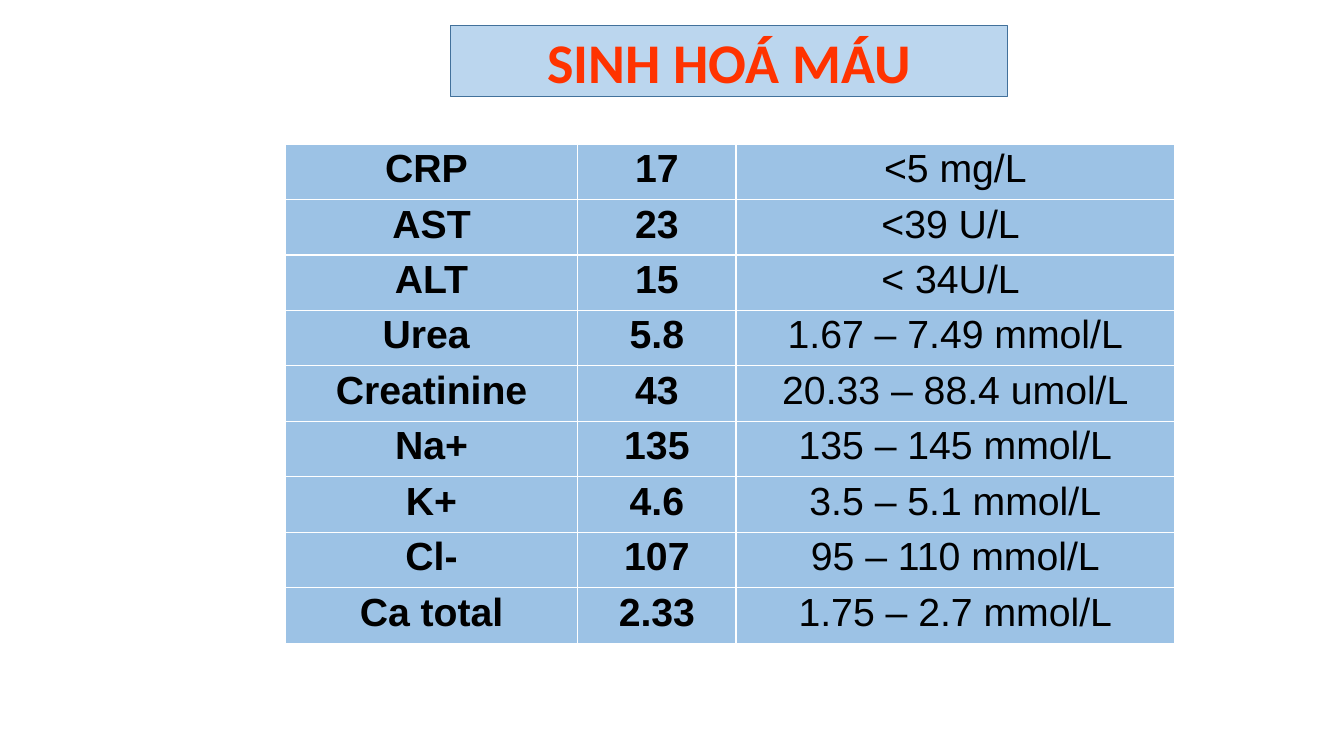
"""Build a slide with a table of blood chemistry results and reference ranges."""
from pptx import Presentation
from pptx.dml.color import RGBColor as RGB
from pptx.enum.shapes import MSO_SHAPE as SHAPE
from pptx.enum.text import MSO_ANCHOR as ANCHOR, PP_ALIGN as ALIGN
from pptx.util import Inches, Pt

COLORS = {"title_fill": "BBD6EE", "title_line": "42719B", "title": "FF3300",
          "cell": "9CC2E5", "text": "000000"}
RESULTS = [
    ("CRP ", "17", "<5 mg/L"),
    ("AST", "23", "<39 U/L "),
    ("ALT", "15", "< 34U/L "),
    ("Urea ", "5.8", "1.67 – 7.49 mmol/L"),
    ("Creatinine", "43", "20.33 – 88.4 umol/L"),
    ("Na+", "135", "135 – 145 mmol/L"),
    ("K+", "4.6", "3.5 – 5.1 mmol/L"),
    ("Cl-", "107", "95 – 110 mmol/L"),
    ("Ca total", "2.33", "1.75 – 2.7 mmol/L"),
]
COL_WIDTHS = [2.9, 1.57, 4.35]
ROW_HEIGHT = 0.55
CELL_FORMAT = {"margin_left": Inches(0.16), "margin_right": Inches(0.16),
               "margin_top": 0, "margin_bottom": 0}


def write(p, text, color, **font):
    p.alignment = ALIGN.CENTER
    r = p.add_run()
    r.text = text
    r.font.color.rgb = RGB.from_string(COLORS[color])
    for name, value in font.items():
        setattr(r.font, name, value)


prs = Presentation()
prs.slide_width, prs.slide_height = Inches(13.33), Inches(7.5)
s = prs.slides.add_slide(prs.slide_layouts[6])

table = s.shapes.add_table(len(RESULTS), len(COL_WIDTHS), Inches(2.83), Inches(1.43),
                           Inches(sum(COL_WIDTHS)), Inches(ROW_HEIGHT * len(RESULTS))).table
table.horz_banding = False
for col, width in zip(table.columns, COL_WIDTHS):
    col.width = Inches(width)
for row, result in zip(table.rows, RESULTS):
    row.height = Inches(ROW_HEIGHT)
    for i, (cell, text) in enumerate(zip(row.cells, result)):
        for name, value in CELL_FORMAT.items():
            setattr(cell, name, value)
        cell.fill.solid()
        cell.fill.fore_color.rgb = RGB.from_string(COLORS["cell"])
        p = cell.text_frame.paragraphs[0]
        p.line_spacing = 1.07
        write(p, text, "text", name="Arial", size=Pt(28), bold=i < 2)

sp = s.shapes.add_shape(SHAPE.RECTANGLE, Inches(4.47), Inches(0.25), Inches(5.52), Inches(0.71))
sp.shadow.inherit = False
sp.fill.solid()
sp.fill.fore_color.rgb = RGB.from_string(COLORS["title_fill"])
sp.line.color.rgb = RGB.from_string(COLORS["title_line"])
sp.line.width = Pt(1)
tf = sp.text_frame
tf.word_wrap = True
tf.vertical_anchor = ANCHOR.MIDDLE
write(tf.paragraphs[0], "SINH HOÁ MÁU", "title", name="Calibri", size=Pt(40), bold=True)

prs.save("out.pptx")
